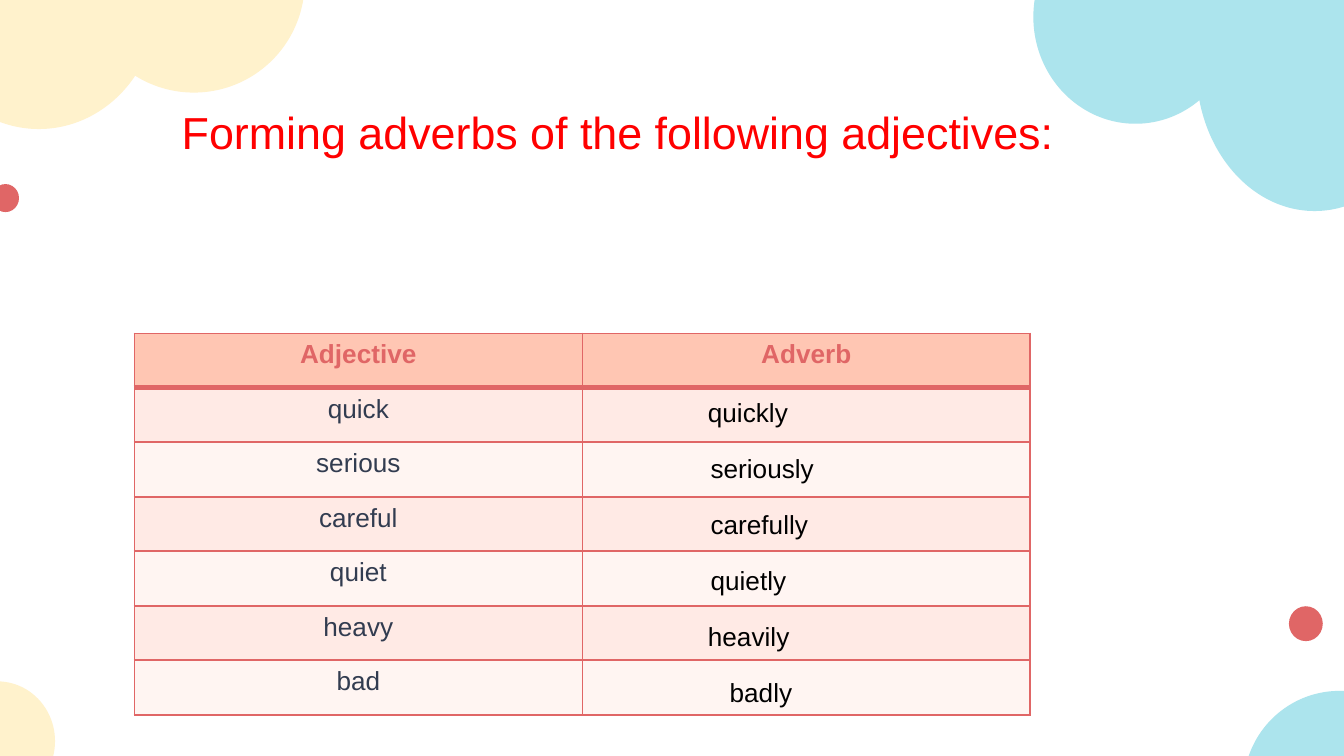
from lxml import etree
from pptx import Presentation
from pptx import util as u
from pptx.dml.color import RGBColor
from pptx.enum import shapes, text
from pptx.oxml.ns import qn

BLUE, CREAM, RED = "ACE4ED", "FFF2CC", "E06666"
HEADER, BANDS = "FFC6B3", ("FFEAE5", "FFF5F2")
BUBBLES = [
    (22.61, -1.42, 4.47, 5.41, BLUE),
    (19.53, -1.7, 3.86, 4.04, BLUE),
    (-1.5, -2.36, 4.47, 4.8, CREAM),
    (1.57, -2.44, 4.19, 4.19, CREAM),
    (-0.15, 3.48, 0.51, 0.53, RED),
    (-1.14, 12.88, 2.18, 2.26, CREAM),
    (23.5, 13.06, 3.63, 3.66, BLUE),
    (24.36, 11.46, 0.64, 0.66, RED),
]
ADJECTIVES = ["quick", "serious", "careful", "quiet", "heavy", "bad"]
ADVERBS = [  # word, left, width
    ("quickly", 13.13, 3.6),
    ("seriously", 13.18, 3.6),
    ("carefully", 13.18, 2.54),
    ("quietly", 13.18, 2.26),
    ("heavily", 13.13, 2.62),
    ("badly", 13.54, 1.9),
]


def paint(fill, colour):
    fill.solid()
    fill.fore_color.rgb = RGBColor.from_string(colour)


def write(tf, words, colour, size=14, bold=False, align=text.PP_ALIGN.LEFT):
    p = tf.paragraphs[0]
    p.alignment = align
    r = p.add_run()
    r.text = words
    for name, value in dict(name="Arial", size=u.Pt(size), bold=bold).items():
        setattr(r.font, name, value)
    r.font.color.rgb = RGBColor.from_string(colour)


def add_bubble(s, left, top, width, height, colour):
    sp = s.shapes.add_shape(shapes.MSO_SHAPE.OVAL, *map(u.Cm, (left, top, width, height)))
    sp.shadow.inherit = False
    paint(sp.fill, colour)
    sp.line.fill.background()


def add_title(s, words):
    sp = s.shapes.title
    place = dict(left=3.18, top=1.85, width=18.62, height=1.27)
    for name, value in place.items():
        setattr(sp, name, u.Cm(value))
    sp.text_frame.vertical_anchor = text.MSO_ANCHOR.TOP
    write(sp.text_frame, words, "FF0000", size=24)


def add_label(s, words, left, top, width):
    sp = s.shapes.add_textbox(*map(u.Cm, (left, top, width, 0.86)))
    sp.text_frame.word_wrap = True
    write(sp.text_frame, words, "000000")


def set_borders(cell, **widths):
    """Draw red borders; widths are points keyed by side L, R, T, B."""
    tcPr = cell._tc.get_or_add_tcPr()
    for i, side in enumerate("LRTB"):
        ln = etree.Element(qn("a:ln" + side), w=str(u.Pt(widths.get(side, 1))))
        fill = etree.SubElement(ln, qn("a:solidFill"))
        etree.SubElement(fill, qn("a:srgbClr"), val=RED)
        tcPr.insert(i, ln)


def add_word_table(s):
    rows = len(ADJECTIVES) + 1
    place = map(u.Cm, (2.54, 6.3, 16.93, 1.03 * rows))
    table = s.shapes.add_table(rows, 2, *place).table
    for i in range(rows):
        for cell in table.rows[i].cells:
            paint(cell.fill, BANDS[(i - 1) % 2] if i else HEADER)
            set_borders(cell, T=3 if i == 1 else 1, B=1 if i else 3)
    centre = text.PP_ALIGN.CENTER
    for j, heading in enumerate(["Adjective", "Adverb"]):
        write(table.cell(0, j).text_frame, heading, RED, bold=True, align=centre)
    for i, word in enumerate(ADJECTIVES, 1):
        write(table.cell(i, 0).text_frame, word, "323C50", align=centre)


def main():
    prs = Presentation()
    prs.slide_width, prs.slide_height = u.Cm(25.4), u.Cm(14.29)
    s = prs.slides.add_slide(prs.slide_layouts[5])
    paint(s.background.fill, "FFFFFF")
    for bubble in BUBBLES:
        add_bubble(s, *bubble)
    add_word_table(s)
    add_title(s, "Forming adverbs of the following adjectives:")
    for i, (word, left, width) in enumerate(ADVERBS):
        add_label(s, word, left, 7.37 + 1.06 * i, width)
    prs.save("out.pptx")


if __name__ == "__main__":
    main()
